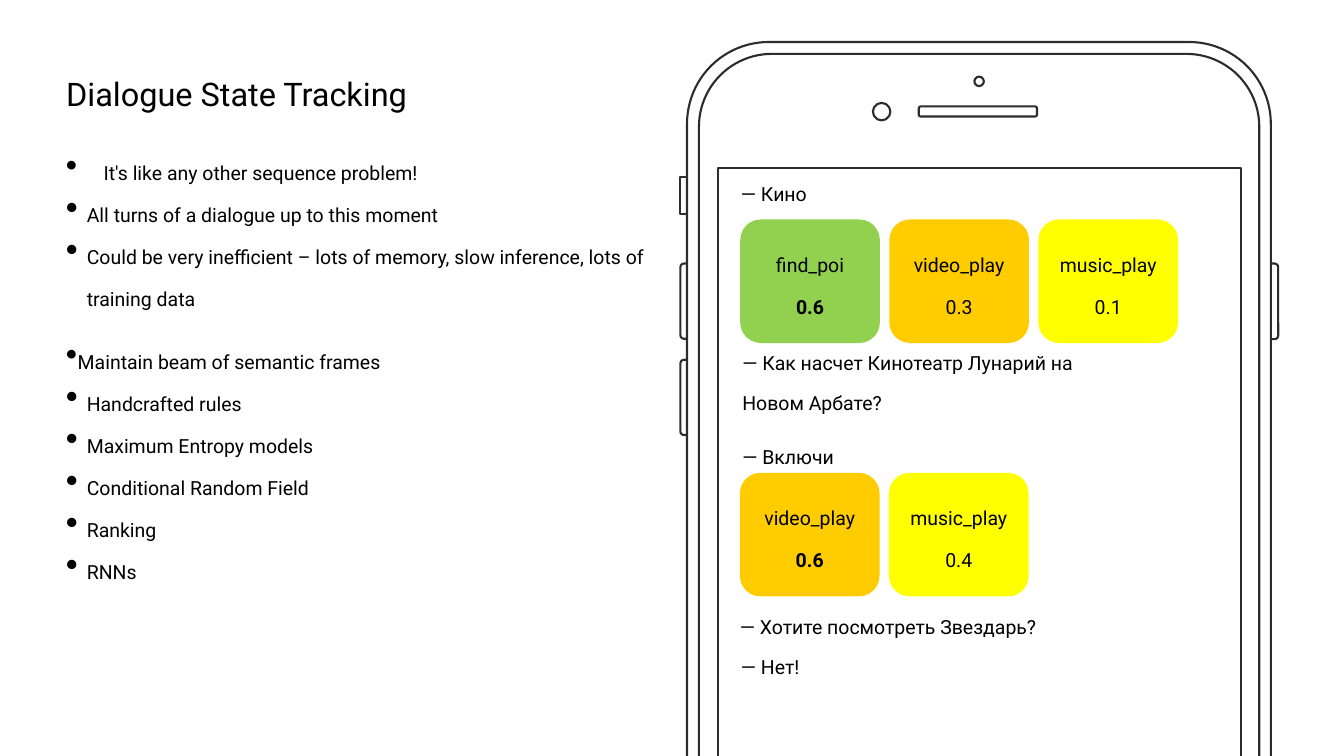
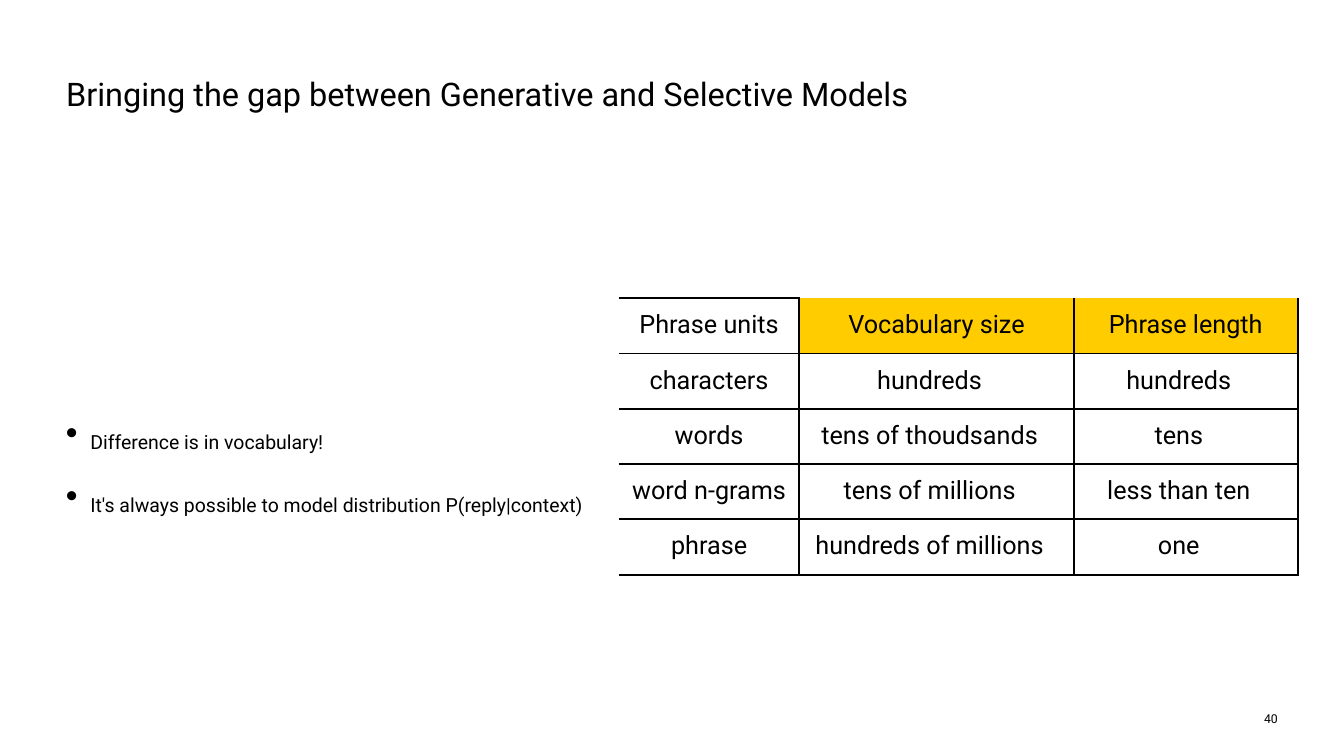
from lxml.etree import SubElement as Sub
from pptx import Presentation
from pptx.dml.color import RGBColor as Rgb
from pptx.enum.shapes import MSO_SHAPE as Kind
from pptx.enum.text import MSO_ANCHOR as Anchor, MSO_AUTO_SIZE as Auto, PP_ALIGN as Align
from pptx.oxml.ns import qn
from pptx.util import Pt

BLACK = Rgb(0x00, 0x00, 0x00)
WHITE = Rgb(0xFF, 0xFF, 0xFF)
INK = Rgb(0x2F, 0x2A, 0x2B)
GREEN = Rgb(0x92, 0xD0, 0x50)
GOLD = Rgb(0xFF, 0xCC, 0x00)
YELLOW = Rgb(0xFF, 0xFF, 0x00)
FONT = "Roboto"
PAD = 4.5
RAISE, LOWER, LIFT = 6, -5, 30


def style(para, size=48, base=0, align=Align.LEFT, gap=0, lead=None):
    para.alignment = align
    para.space_before = Pt(gap)
    if lead:
        para.line_spacing = lead
    for run in para.runs:
        font = run.font
        font.name, font.size, font.color.rgb = FONT, Pt(size), BLACK
        if base:
            font._element.set("baseline", str(base * 1000))


def frame(shape, anchor=Anchor.MIDDLE, grow=False, top=0, bottom=0):
    text = shape.text_frame
    text.word_wrap = True
    text.auto_size = Auto.SHAPE_TO_FIT_TEXT if grow else Auto.NONE
    text.vertical_anchor = anchor
    text.margin_left = text.margin_right = Pt(PAD)
    text.margin_top, text.margin_bottom = Pt(PAD + top), Pt(PAD + bottom)
    return text


def label(slide, box, lines, anchor=Anchor.MIDDLE, grow=False, **look):
    text = frame(slide.shapes.add_textbox(*map(Pt, box)), anchor, grow)
    text.text = "\n".join(lines)
    for para in text.paragraphs:
        style(para, **look)


def title(slide, words, height):
    label(slide, (90, 60, 1740, height), [words], Anchor.TOP,
          size=80, base=LOWER, lead=Pt(100))


def bullets(slide, box, items, top=0, bottom=0):
    text = frame(slide.shapes.add_textbox(*map(Pt, box)), top=top, bottom=bottom)
    text.text = "\n".join(item[0] for item in items)
    for para, (_, left, hang, gap, scale) in zip(text.paragraphs, items):
        style(para, base=RAISE, gap=gap, lead=Pt(60))
        props = para._p.get_or_add_pPr()
        props.set("marL", str(Pt(left)))
        props.set("indent", str(Pt(-hang)))
        Sub(props, qn("a:buSzPct")).set("val", str(scale * 1000))
        Sub(props, qn("a:buChar")).set("char", "•")


def block(slide, kind, box, fill=None, line=None, curve=None):
    shape = slide.shapes.add_shape(kind, *map(Pt, box))
    shape.shadow.inherit = False
    if fill is None:
        shape.fill.background()
    else:
        shape.fill.solid()
        shape.fill.fore_color.rgb = fill
    if line is None:
        shape.line.fill.background()
    else:
        shape.line.color.rgb = line
        shape.line.width = Pt(3)
    if curve is not None:
        shape.adjustments[0] = curve
    return shape


def phone(slide, x, y):
    parts = [
        (Kind.RECTANGLE, (0, 193.5, 20, 52), WHITE, None),
        (Kind.ROUNDED_RECTANGLE, (0, 454, 20, 107.5), WHITE, 0.25),
        (Kind.ROUNDED_RECTANGLE, (0, 316.5, 20, 107.5), WHITE, 0.25),
        (Kind.ROUNDED_RECTANGLE, (834, 316.5, 20, 108), WHITE, 0.25),
        (Kind.ROUNDED_RECTANGLE, (9.5, 0, 834, 1700.5), WHITE, 0.14),
        (Kind.ROUNDED_RECTANGLE, (26.5, 17, 800.5, 1667.5), WHITE, 0.13),
        (Kind.RECTANGLE, (54, 180.5, 746.5, 1334), WHITE, None),
        (Kind.OVAL, (275, 87, 25, 25), WHITE, None),
        (Kind.OVAL, (420, 49.5, 13.5, 13.5), WHITE, None),
        (Kind.ROUNDED_RECTANGLE, (340.5, 92, 169, 14.5), None, 0.2),
    ]
    for kind, (left, top, width, height), fill, curve in parts:
        block(slide, kind, (x + left, y + top, width, height), fill, INK, curve)


def cards(slide, x, y, frames):
    for i, (name, score, fill) in enumerate(frames):
        card = block(slide, Kind.ROUNDED_RECTANGLE,
                     (x + i * 213, y, 199.5, 176.5), fill)
        para = frame(card, grow=True).paragraphs[0]
        para.text = f"{name}\v{score}"
        style(para, base=RAISE, align=Align.CENTER, gap=30, lead=Pt(60))
        para.runs[1].font.bold = i == 0


def chat(slide, x, y):
    phone(slide, x, y)
    turn = dict(grow=True, base=LIFT, gap=30, lead=Pt(60))
    label(slide, (x + 82, y + 172.5, 405, 98.5), ["— Кино"], **turn)
    cards(slide, x + 85.5, y + 253.5, [("find_poi", "0.6", GREEN),
                                     ("video_play", "0.3", GOLD),
                                     ("music_play", "0.1", YELLOW)])
    label(slide, (x + 84, y + 449, 559.5, 165),
          ["— Как насчет Кинотеатр Лунарий на Новом Арбате?", "— Включи"],
          grow=True, base=LIFT, gap=20)
    cards(slide, x + 85, y + 615.5, [("video_play", "0.6", GOLD),
                                   ("music_play", "0.4", YELLOW)])
    label(slide, (x + 80.5, y + 791, 504, 98.5), ["— Хотите посмотреть Звездарь?"], **turn)
    label(slide, (x + 82, y + 848, 405, 98.5), ["— Нет!"], **turn)


def edge(cell, side, shown):
    line = Sub(cell._tc.get_or_add_tcPr(), qn(f"a:ln{side}"), w=str(Pt(3)))
    if shown:
        Sub(Sub(line, qn("a:solidFill")), qn("a:srgbClr")).set("val", str(BLACK))
    else:
        Sub(line, qn("a:noFill"))


def units(slide, x, y):
    rows = [
        ("Phrase units", "Vocabulary size", "Phrase length"),
        ("characters", "hundreds", "hundreds"),
        ("words", "tens of thoudsands", "tens"),
        ("word n-grams", "tens of millions", "less than ten"),
        ("phrase", "hundreds of millions", "one"),
    ]
    wide, tall = (258, 392, 320), 79
    grid = slide.shapes.add_table(len(rows), len(wide), Pt(x), Pt(y),
                                  Pt(sum(wide)), Pt(tall * len(rows))).table
    grid.first_row = grid.horz_banding = False
    for col, width in zip(grid.columns, wide):
        col.width = Pt(width)
    for r, row in enumerate(rows):
        grid.rows[r].height = Pt(tall)
        for c, words in enumerate(row):
            cell = grid.cell(r, c)
            cell.text = words
            cell.vertical_anchor = Anchor.MIDDLE
            cell.margin_left = cell.margin_top = cell.margin_bottom = Pt(18)
            cell.margin_right = Pt(38 if r and c else 18)
            style(cell.text_frame.paragraphs[0], size=36, align=Align.CENTER, lead=0.9)
            edge(cell, "L", c > 0)
            edge(cell, "R", True)
            edge(cell, "T", r > 0 or c == 0)
            edge(cell, "B", True)
            cell.fill.solid()
            cell.fill.fore_color.rgb = GOLD if r == 0 and c else WHITE


def state(slide):
    def sub(words):
        return words, 30, 108, 0, 106

    bullets(slide, (89.5, 240.5, 870.5, 719), [
        ("It's like any other sequence problem!", 54, 54, 30, 100),
        sub("All turns of a dialogue up to this moment"),
        sub("Could be very inefficient – lots of memory, slow inference, "
            "lots of training data"),
        ("Maintain beam of semantic frames", 0, 54, 30, 100),
        sub("Handcrafted rules"),
        sub("Maximum Entropy models"),
        sub("Conditional Random Field"),
        sub("Ranking"),
        sub("RNNs"),
    ], bottom=148)
    title(slide, "Dialogue State Tracking", 130)
    chat(slide, 972, 60)


def models(slide):
    bullets(slide, (89.5, 288, 794, 672), [
        (words, 35, 35, 30, 104) for words in (
            "Difference is in vocabulary!",
            "It's always possible to model distribution P(reply|context)")
    ], top=90)
    title(slide, "Bringing the gap between Generative and Selective Models", 228)
    label(slide, (1741, 997, 89, 44), ["40"], Anchor.BOTTOM, True,
          size=17.5, align=Align.RIGHT)
    units(slide, 884, 426)


def main():
    deck = Presentation()
    deck.slide_width, deck.slide_height = Pt(1920), Pt(1080)
    for build in (state, models):
        build(deck.slides.add_slide(deck.slide_layouts[6]))
    deck.save("out.pptx")


if __name__ == "__main__":
    main()
